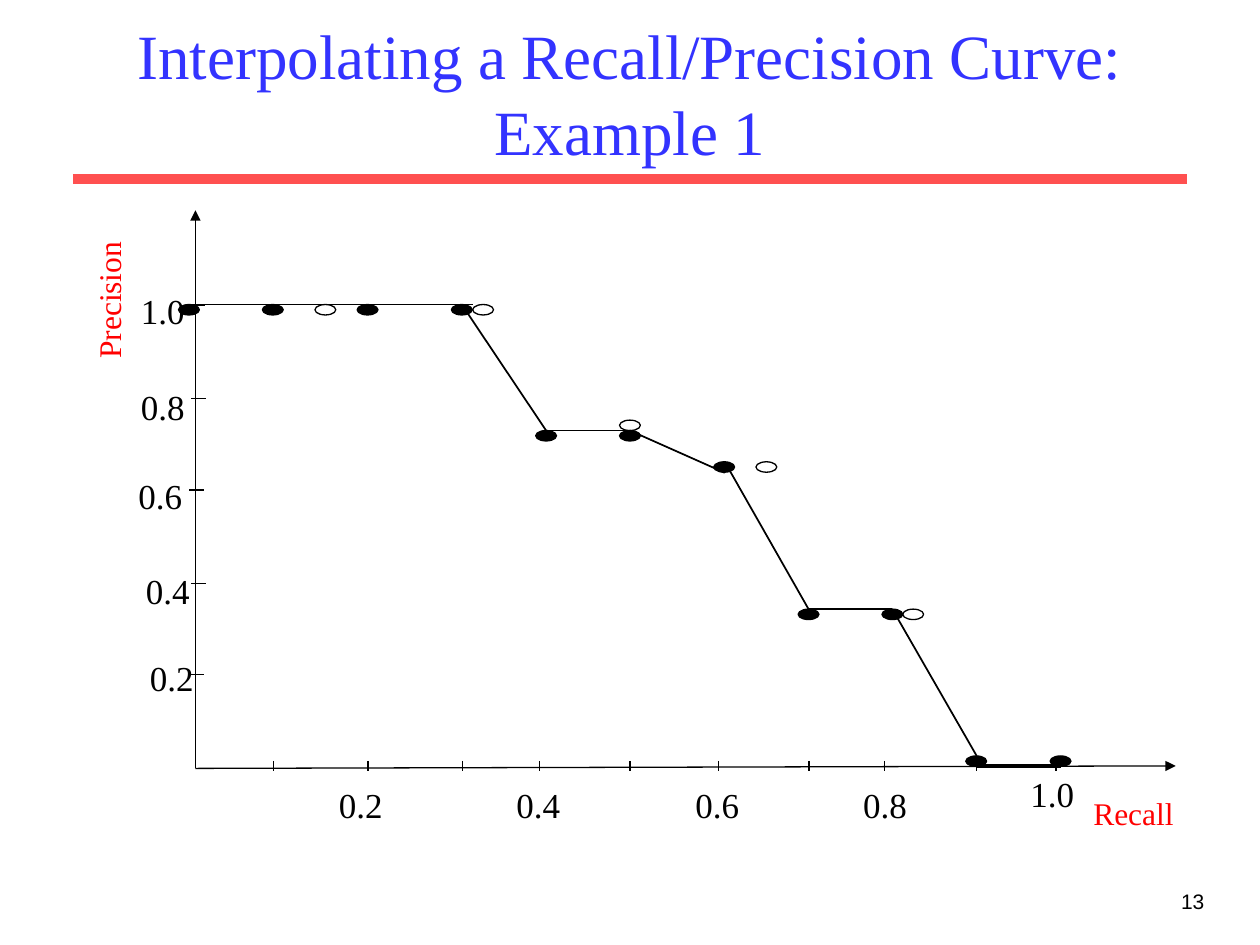
from dataclasses import dataclass
from itertools import pairwise

from lxml.etree import SubElement
from pptx import Presentation
from pptx.dml.color import RGBColor
from pptx.enum.shapes import MSO_CONNECTOR, MSO_SHAPE
from pptx.enum.text import MSO_ANCHOR, PP_ALIGN
from pptx.oxml.ns import qn
from pptx.util import Cm, Pt


@dataclass(frozen=True)
class Theme:
    ink: RGBColor = RGBColor(0, 0, 0)
    title: RGBColor = RGBColor(0x33, 0x33, 0xFF)
    rule: RGBColor = RGBColor(0xFF, 0x50, 0x50)
    axis_name: RGBColor = RGBColor(0xFF, 0, 0)
    serif: str = "Times New Roman"
    sans: str = "Arial"
    title_size: int = 36
    label_size: int = 20
    name_size: int = 18
    page_size: int = 12
    thin: float = 0.75
    curve: float = 1
    floor: float = 2.25
    thick: float = 6


THEME = Theme()

# All positions are in centimetres.
TICK_XS = (5.51, 7.42, 9.32, 10.87, 12.7, 14.48, 16.31, 17.83, 19.69, 21.29)
Y_TICKS = ((3.84, 6.15), (3.86, 8.03), (3.81, 9.88), (3.86, 11.76), (3.81, 13.59))
AXIS_LABELS = (
    ("1.0", 2.59, 5.72), ("0.8", 2.59, 7.65), ("0.6", 2.54, 9.45),
    ("0.4", 2.69, 11.35), ("0.2", 2.77, 13.11),
    ("0.2", 6.58, 15.67), ("0.4", 10.16, 15.67), ("0.6", 13.77, 15.67),
    ("0.8", 17.15, 15.67), ("1.0", 20.52, 15.44),
)
INTERPOLATED = (
    (3.6, 6.14), (5.29, 6.14), (7.2, 6.14), (9.1, 6.14), (10.8, 8.68),
    (12.49, 8.68), (14.39, 9.31), (16.09, 12.28), (17.78, 12.28),
    (19.47, 15.24), (21.17, 15.24),
)
MEASURED = ((6.35, 6.14), (9.53, 6.14), (12.49, 8.47), (15.24, 9.31), (18.2, 12.28))
CURVE_PARTS = (
    ((3.81, 6.14), (9.53, 6.14)),
    ((9.31, 6.14), (11.01, 8.68), (12.7, 8.68), (14.61, 9.53)),
    ((14.61, 9.31), (16.3, 12.28), (17.99, 12.28), (19.69, 15.24)),
)


def add_line(s, start, end, width=THEME.thin, color=THEME.ink, arrow=False):
    line = s.shapes.add_connector(
        MSO_CONNECTOR.STRAIGHT, *(Cm(v) for v in (*start, *end)))
    line.line.width = Pt(width)
    line.line.color.rgb = color
    sp_pr = line._element.spPr
    if arrow:
        SubElement(sp_pr.find(qn("a:ln")), qn("a:tailEnd"), type="triangle")
    SubElement(sp_pr, qn("a:effectLst"))


def add_text(s, text, box, size, color=THEME.ink, font=THEME.serif,
             align=PP_ALIGN.LEFT, wrap=False):
    sp = s.shapes.add_textbox(*(Cm(v) for v in box))
    tf = sp.text_frame
    tf.word_wrap = wrap
    p = tf.paragraphs[0]
    p.text = text
    p.alignment = align
    p.font.name = font
    p.font.size = Pt(size)
    p.font.color.rgb = color
    return sp


def add_dot(s, x, y, filled):
    sp = s.shapes.add_shape(MSO_SHAPE.OVAL, Cm(x), Cm(y), Cm(0.42), Cm(0.21))
    sp.shadow.inherit = False
    sp.line.color.rgb = THEME.ink
    sp.line.width = Pt(THEME.thin)
    if filled:
        sp.fill.solid()
        sp.fill.fore_color.rgb = THEME.ink
    else:
        sp.fill.background()


def add_frame(s):
    """Title, the rule under it, and the page number."""
    add_line(s, (1.47, 3.61), (23.93, 3.61), THEME.thick, THEME.rule)
    add_text(s, "13", (19.25, 17.78, 5.28, 1.27), THEME.page_size,
             font=THEME.sans, align=PP_ALIGN.RIGHT, wrap=True)
    title = add_text(s, "Interpolating a Recall/Precision Curve: Example 1",
                     (1.9, 0.81, 21.6, 2.11), THEME.title_size, THEME.title,
                     align=PP_ALIGN.CENTER, wrap=True)
    tf = title.text_frame
    tf.vertical_anchor = MSO_ANCHOR.MIDDLE
    tf.margin_left = tf.margin_right = tf.margin_top = tf.margin_bottom = 0


def add_axes(s):
    origin = (3.94, 15.49)
    add_line(s, origin, (3.94, 4.24), arrow=True)
    add_line(s, origin, (23.7, 15.44), arrow=True)
    for x in TICK_XS:
        add_line(s, (x, 15.34), (x, 15.54))
    for x, y in Y_TICKS:
        add_line(s, (x, y), (x + 0.3, y))
    for text, x, y in AXIS_LABELS:
        add_text(s, text, (x, y, 1.4, 1.12), THEME.label_size)
    add_text(s, "Recall", (21.79, 15.88, 2.13, 1.02), THEME.name_size, THEME.axis_name)
    precision = add_text(s, "Precision", (0.76, 5.54, 2.87, 1.02),
                         THEME.name_size, THEME.axis_name)
    precision.rotation = 270


def add_curve(s):
    for points, filled in ((MEASURED, False), (INTERPOLATED, True)):
        for x, y in points:
            add_dot(s, x, y, filled)
    for part in CURVE_PARTS:
        for start, end in pairwise(part):
            add_line(s, start, end, THEME.curve)
    add_line(s, (19.69, 15.44), (21.39, 15.44), THEME.floor)


def main():
    prs = Presentation()
    prs.slide_width, prs.slide_height = Cm(25.4), Cm(19.05)
    s = prs.slides.add_slide(prs.slide_layouts[6])
    add_frame(s)
    add_axes(s)
    add_curve(s)
    prs.save("out.pptx")


if __name__ == "__main__":
    main()
